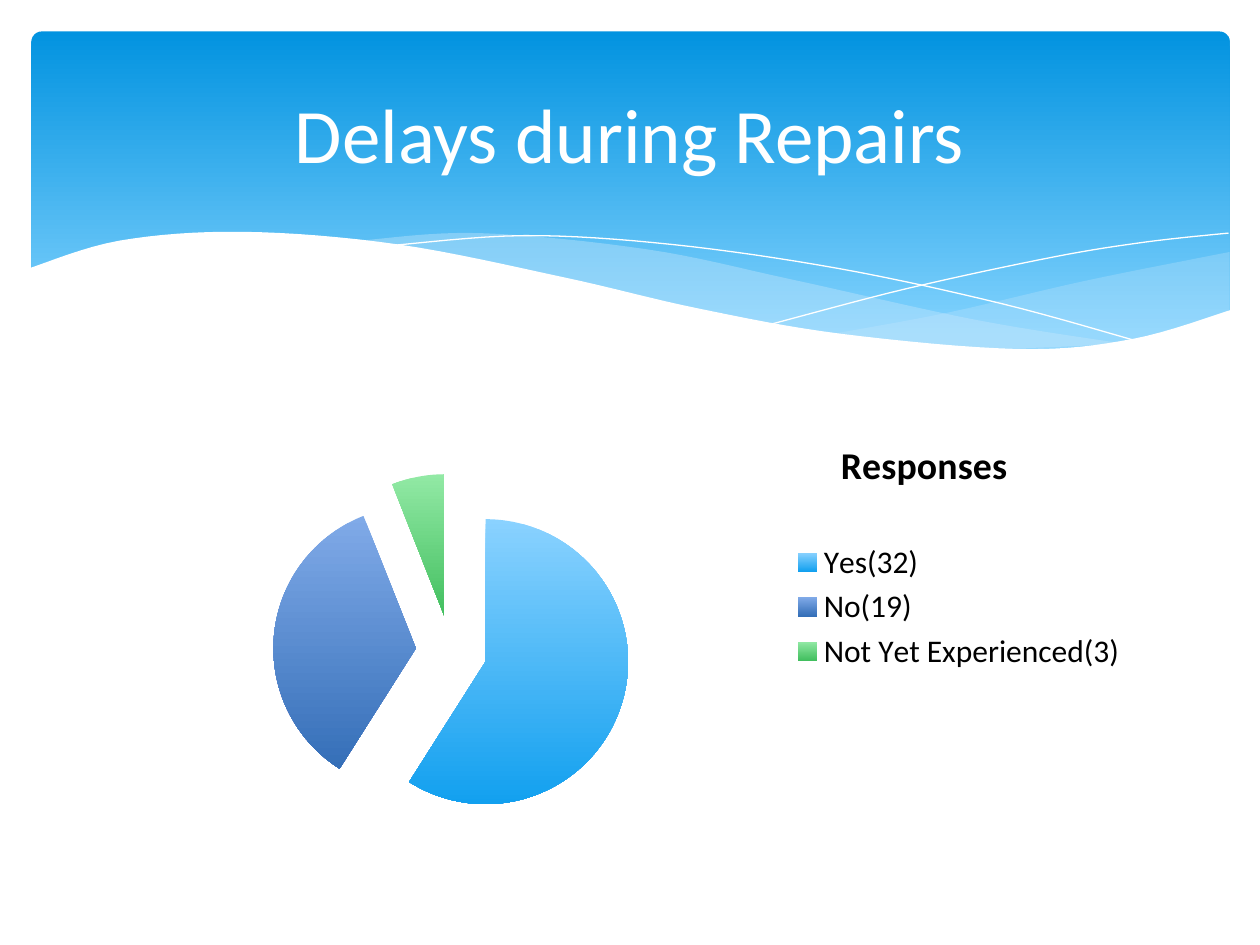
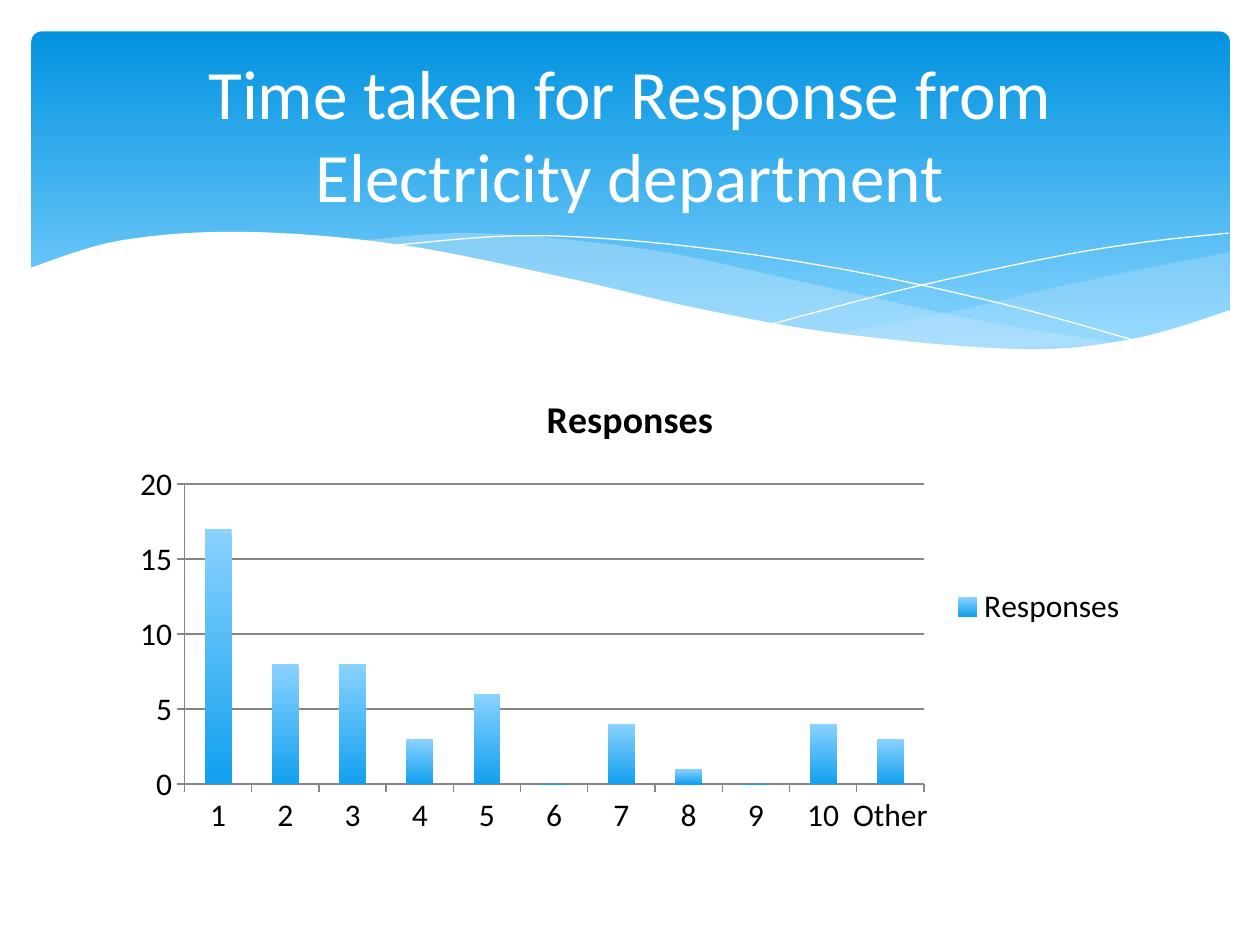
"""Build two survey slides with a shared wave banner and one chart each."""
from dataclasses import dataclass
from typing import Optional

from lxml.etree import SubElement
from pptx import Presentation
from pptx.chart.chart import Chart
from pptx.chart.data import CategoryChartData
from pptx.dml.color import RGBColor
from pptx.dml.fill import FillFormat
from pptx.enum.chart import XL_CHART_TYPE, XL_LEGEND_POSITION, XL_TICK_MARK
from pptx.enum.shapes import MSO_SHAPE
from pptx.enum.text import MSO_ANCHOR, MSO_AUTO_SIZE, PP_ALIGN
from pptx.oxml import parse_xml
from pptx.oxml.ns import nsdecls, qn
from pptx.slide import Slide
from pptx.util import Inches, Pt

FONT = "Calibri"
WHITE = RGBColor(0xFF, 0xFF, 0xFF)
BLACK = RGBColor(0x00, 0x00, 0x00)
AXIS_GREY = RGBColor(0x86, 0x86, 0x86)
MIST = RGBColor(0xC6, 0xE7, 0xFC)
BANNER = (RGBColor(0x02, 0x93, 0xE0), RGBColor(0x83, 0xD3, 0xFE))
SKY = (RGBColor(0x8A, 0xD2, 0xFF), RGBColor(0x12, 0xA0, 0xEF))
NAVY = (RGBColor(0x80, 0xAA, 0xE8), RGBColor(0x35, 0x6F, 0xB8))
GREEN = (RGBColor(0x92, 0xE9, 0xA5), RGBColor(0x42, 0xBF, 0x5F))
STEPS = 8

Point = tuple[float, float]
Shades = tuple[RGBColor, RGBColor]


@dataclass(frozen=True)
class Wave:
    """Curves through knots: filled if there is a fill, else a white hairline."""
    curves: list[list[Point]]
    fill: Optional[RGBColor] = None
    opacity: int = 100


@dataclass(frozen=True)
class Survey:
    """One question: its title, answers and chart type."""
    title: str
    title_size: float
    kind: XL_CHART_TYPE
    answers: dict[str, int]


WAVES = [
    Wave([[(9.76, 2), (8.61, 2.23), (7.53, 2.48), (6.61, 2.65)],
          [(6.61, 2.65), (7.45, 2.75), (8.24, 2.77), (9.05, 2.69), (9.76, 2.47)]],
         MIST, 29),
    Wave([[(8.93, 2.73), (7.75, 2.54), (6.29, 2.22), (5.14, 1.98), (3.8, 1.85),
           (2.86, 1.91)],
          [(2.86, 1.91), (4.49, 2.22), (6.01, 2.55), (7.48, 2.76), (8.93, 2.73)]],
         MIST, 40),
    Wave([[(3.09, 1.95), (4.16, 1.87), (5.33, 1.94), (6.65, 2.13), (7.95, 2.41),
           (9.07, 2.72)]]),
    Wave([[(6.13, 2.57), (7.2, 2.29), (8.36, 2.04), (9.1, 1.92), (9.75, 1.85)]]),
    Wave([[(9.77, 2.46), (8.99, 2.69), (8.09, 2.77), (6.68, 2.65), (5.55, 2.45),
           (4.47, 2.2), (3.16, 1.94), (1.93, 1.84), (0.95, 1.91), (0.23, 2.13)],
          [(0.23, 3.29), (9.77, 3.29)]], WHITE),
]

SURVEYS = [
    Survey("Delays during Repairs", 44, XL_CHART_TYPE.PIE_EXPLODED,
           {"Yes(32)": 59, "No(19)": 35, "Not Yet Experienced(3)": 6}),
    Survey("Time taken for Response from Electricity department", 39.6,
           XL_CHART_TYPE.COLUMN_STACKED,
           {"1": 17, "2": 8, "3": 8, "4": 3, "5": 6, "6": 0, "7": 4, "8": 1,
            "9": 0, "10": 4, "Other": 3}),
]


def shade(fill: FillFormat, colors: Shades, end: float = 1.0) -> None:
    """Fill from the top colour down to the bottom one."""
    fill.gradient()
    fill.gradient_angle = 270
    for stop, color, position in zip(fill.gradient_stops, colors, (0.0, end)):
        stop.color.rgb = color
        stop.position = position


def blend(a: float, b: float, c: float, d: float, t: float) -> float:
    """Give the Catmull-Rom value between b and c."""
    return b + t / 2 * (c - a + t * (2 * a - 5 * b + 4 * c - d
                                     + t * (3 * (b - c) + d - a)))


def smooth_curve(knots: list[Point]) -> list[Point]:
    """Give points on a smooth curve through the knots."""
    ends = [knots[0], *knots, knots[-1]]
    points = [knots[0]]
    for around in zip(ends, ends[1:], ends[2:], ends[3:]):
        xs, ys = zip(*around)
        for step in range(1, STEPS + 1):
            points.append((blend(*xs, step / STEPS), blend(*ys, step / STEPS)))
    return points


def draw_wave(page: Slide, wave: Wave) -> None:
    """Draw one wave of the banner."""
    corners = [(Inches(x), Inches(y))
               for knots in wave.curves for x, y in smooth_curve(knots)]
    builder = page.shapes.build_freeform(*corners[0])
    builder.add_line_segments(corners[1:], close=wave.fill is not None)
    shape = builder.convert_to_shape()
    shape.shadow.inherit = False
    if wave.fill is None:
        shape.fill.background()
        shape.line.color.rgb = WHITE
        shape.line.width = Pt(0)
        return
    shape.line.fill.background()
    shape.fill.solid()
    shape.fill.fore_color.rgb = wave.fill
    if wave.opacity < 100:
        color = next(shape.element.iter(qn("a:srgbClr")))
        SubElement(color, qn("a:alpha"), val=str(wave.opacity * 1000))


def draw_banner(page: Slide) -> None:
    """Draw the blue panel and the waves along its lower edge."""
    panel = page.shapes.add_shape(MSO_SHAPE.ROUNDED_RECTANGLE, Inches(0.25),
                                  Inches(0.25), Inches(9.51), Inches(2.7))
    panel.adjustments[0] = 0.03
    panel.shadow.inherit = False
    panel.line.fill.background()
    shade(panel.fill, BANNER, 0.9)
    for wave in WAVES:
        draw_wave(page, wave)


def write_title(page: Slide, text: str, size: float) -> None:
    """Place and format the title, in front of the banner."""
    title = page.shapes.title
    title.left, title.top = Inches(0.5), Inches(0.37)
    title.width, title.height = Inches(9), Inches(1.37)
    frame = title.text_frame
    frame.word_wrap = True
    frame.auto_size = MSO_AUTO_SIZE.NONE
    frame.vertical_anchor = MSO_ANCHOR.MIDDLE
    para = frame.paragraphs[0]
    para.alignment = PP_ALIGN.CENTER
    span = para.add_run()
    span.text = text
    span.font.name, span.font.size = FONT, Pt(size)
    span.font.color.rgb = WHITE
    title.element.getparent().append(title.element)


def manual_layout(**places: float):
    """Make a chart layout from fractions of the chart's size."""
    inner = '<c:layoutTarget val="inner"/>' if "w" in places else ""
    modes = "".join(f'<c:{key}Mode val="edge"/>' for key in ("x", "y"))
    values = "".join(f'<c:{key} val="{value}"/>' for key, value in places.items())
    return parse_xml(f'<c:layout {nsdecls("c")}><c:manualLayout>{inner}{modes}'
                     f'{values}</c:manualLayout></c:layout>')


def set_layout(element, layout) -> None:
    """Give a chart title or plot area its layout."""
    for old in element.findall(qn("c:layout")):
        element.remove(old)
    text = element.find(qn("c:tx"))
    if text is None:
        element.insert(0, layout)
    else:
        text.addnext(layout)


def style_pie(chart: Chart) -> None:
    """Shade the slices and put the title above the legend."""
    plot = chart.plots[0]
    plot.vary_by_categories = True
    space = chart.element
    for explosion in space.iter(qn("c:explosion")):
        explosion.set("val", "25")
    for index, colors in enumerate((SKY, NAVY, GREEN)):
        shade(plot.series[0].points[index].format.fill, colors)
    set_layout(next(space.iter(qn("c:title"))), manual_layout(x=0.7, y=0.13))
    set_layout(next(space.iter(qn("c:plotArea"))),
               manual_layout(x=0.15, y=0.22, w=0.35, h=0.75))


def style_columns(chart: Chart) -> None:
    """Shade the columns and draw grey axes and gridlines."""
    plot = chart.plots[0]
    plot.vary_by_categories = False
    plot.gap_width, plot.overlap = 150, 100
    shade(plot.series[0].format.fill, SKY)
    values = chart.value_axis
    values.minimum_scale, values.maximum_scale, values.major_unit = 0, 20, 5
    values.has_major_gridlines = True
    for axis in (chart.category_axis, values):
        axis.major_tick_mark = XL_TICK_MARK.OUTSIDE
        axis.format.line.color.rgb = AXIS_GREY
    values.major_gridlines.format.line.color.rgb = AXIS_GREY


def add_survey_chart(page: Slide, survey: Survey) -> None:
    """Add the chart of the answers with its title and legend."""
    data = CategoryChartData()
    data.categories = list(survey.answers)
    data.add_series("Responses", list(survey.answers.values()))
    chart = page.shapes.add_chart(survey.kind, Inches(0.95), Inches(2.93),
                                  Inches(8.1), Inches(3.77), data).chart
    chart.font.name, chart.font.size = FONT, Pt(18)
    chart.font.color.rgb = BLACK
    chart.has_title = True
    span = chart.chart_title.text_frame.paragraphs[0].add_run()
    span.text = "Responses"
    span.font.name, span.font.size, span.font.bold = FONT, Pt(21.6), True
    span.font.color.rgb = BLACK
    chart.has_legend = True
    chart.legend.position = XL_LEGEND_POSITION.RIGHT
    chart.legend.include_in_layout = False
    if survey.kind == XL_CHART_TYPE.PIE_EXPLODED:
        style_pie(chart)
    else:
        style_columns(chart)


def main() -> None:
    """Build and save the deck."""
    deck = Presentation()
    deck.slide_width, deck.slide_height = Inches(10), Inches(7.5)
    for survey in SURVEYS:
        page = deck.slides.add_slide(deck.slide_layouts[5])
        draw_banner(page)
        add_survey_chart(page, survey)
        write_title(page, survey.title, survey.title_size)
    deck.save("out.pptx")


if __name__ == "__main__":
    main()
